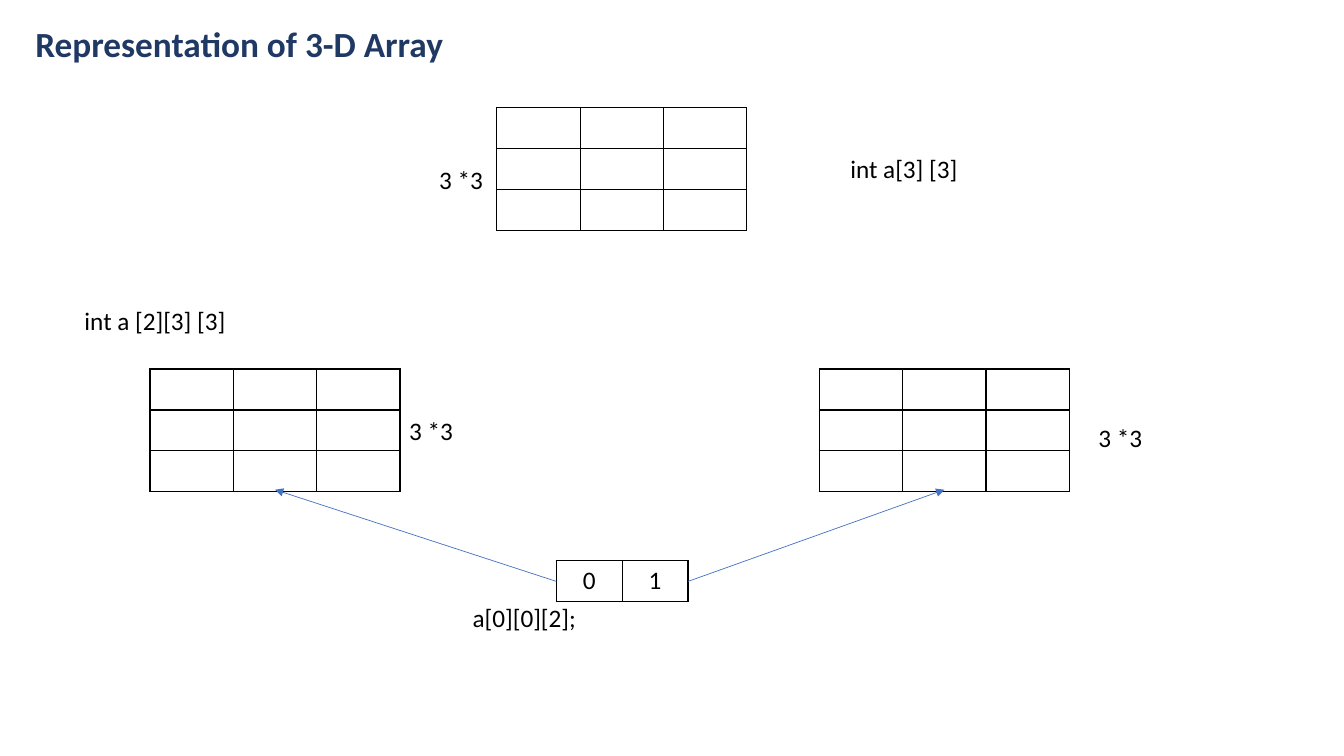
from lxml.etree import SubElement
from pptx import Presentation
from pptx.dml.color import RGBColor
from pptx.enum.shapes import MSO_CONNECTOR
from pptx.enum.text import MSO_ANCHOR, MSO_AUTO_SIZE, PP_ALIGN
from pptx.oxml import parse_xml
from pptx.oxml.ns import nsdecls, qn
from pptx.util import Cm, Pt

BLACK, NAVY, BLUE = "000000", "203864", "4472C4"
ROW_H = 1.03
GRID_COL = 2.1
INDEX_COL = 1.66


def style_font(font, size, color):
    font.name = "Calibri"
    font.size = Pt(size)
    font.color.rgb = RGBColor.from_string(color)


def add_grid(x, y, col_w, rows):
    """Draw a table with thin black borders, one text per cell."""
    n_rows, n_cols = len(rows), len(rows[0])
    table = s.shapes.add_table(n_rows, n_cols, Cm(x), Cm(y),
                               Cm(col_w * n_cols), Cm(ROW_H * n_rows)).table
    table.first_row = table.horz_banding = False
    for col in table.columns:
        col.width = Cm(col_w)
    for i, row in enumerate(rows):
        table.rows[i].height = Cm(ROW_H)
        for j, text in enumerate(row):
            cell = table.cell(i, j)
            cell.fill.background()
            tcPr = cell._tc.get_or_add_tcPr()
            for k, side in enumerate(("lnL", "lnR", "lnT", "lnB")):
                tcPr.insert(k, parse_xml(
                    f'<a:{side} {nsdecls("a")} w="12700"><a:solidFill>'
                    f'<a:srgbClr val="{BLACK}"/></a:solidFill></a:{side}>'))
            p = cell.text_frame.paragraphs[0]
            p.text = text
            p.alignment = PP_ALIGN.CENTER
            style_font(p.font, 18, BLACK)
            for r in p.runs:
                style_font(r.font, 18, BLACK)


prs = Presentation()
prs.slide_width, prs.slide_height = Cm(33.87), Cm(19.05)
s = prs.slides.add_slide(prs.slide_layouts[6])

# Title
sp = s.shapes.add_textbox(Cm(0.64), Cm(0.53), Cm(29.21), Cm(1.24))
tf = sp.text_frame
tf.word_wrap = True
tf.vertical_anchor = MSO_ANCHOR.MIDDLE
p = tf.paragraphs[0]
p.text = "Representation of 3-D Array"
p.line_spacing = 0.9
style_font(p.runs[0].font, 25.2, NAVY)
p.runs[0].font.bold = True

# 3 x 3 arrays
for x, y in [(12.52, 2.71), (3.78, 9.3), (20.65, 9.3)]:
    add_grid(x, y, GRID_COL, [[""] * 3] * 3)

# Index of the two planes, with an arrow to each
index_x, index_y = 14.02, 14.13
add_grid(index_x, index_y, INDEX_COL, [["0", "1"]])
for start_x, end_x in [(index_x + 2 * INDEX_COL, 23.8), (index_x, 6.93)]:
    arrow = s.shapes.add_connector(MSO_CONNECTOR.STRAIGHT, Cm(start_x),
                                   Cm(14.65), Cm(end_x), Cm(12.34))
    arrow.line.color.rgb = RGBColor.from_string(BLUE)
    arrow.line.width = Pt(0.5)
    SubElement(arrow.line._get_or_add_ln(), qn("a:tailEnd"), type="triangle")
    SubElement(arrow._element.spPr, qn("a:effectLst"))

# Labels
for text, x, y, w, wrap in [
    ("int a[3] [3]", 21.18, 3.73, 3.25, False),
    ("int a [2][3] [3]", 1.88, 7.57, 16.94, True),
    ("3 *3", 27.43, 10.52, 1.63, False),
    ("3 *3", 10.82, 4.01, 16.94, True),
    ("3 *3", 10.06, 10.34, 16.94, True),
    ("a[0][0][2];", 11.66, 15.06, 16.94, True),
]:
    sp = s.shapes.add_textbox(Cm(x), Cm(y), Cm(w), Cm(1.03))
    tf = sp.text_frame
    tf.word_wrap = wrap
    tf.auto_size = MSO_AUTO_SIZE.SHAPE_TO_FIT_TEXT
    tf.text = text
    style_font(tf.paragraphs[0].runs[0].font, 18, BLACK)

prs.save("out.pptx")
